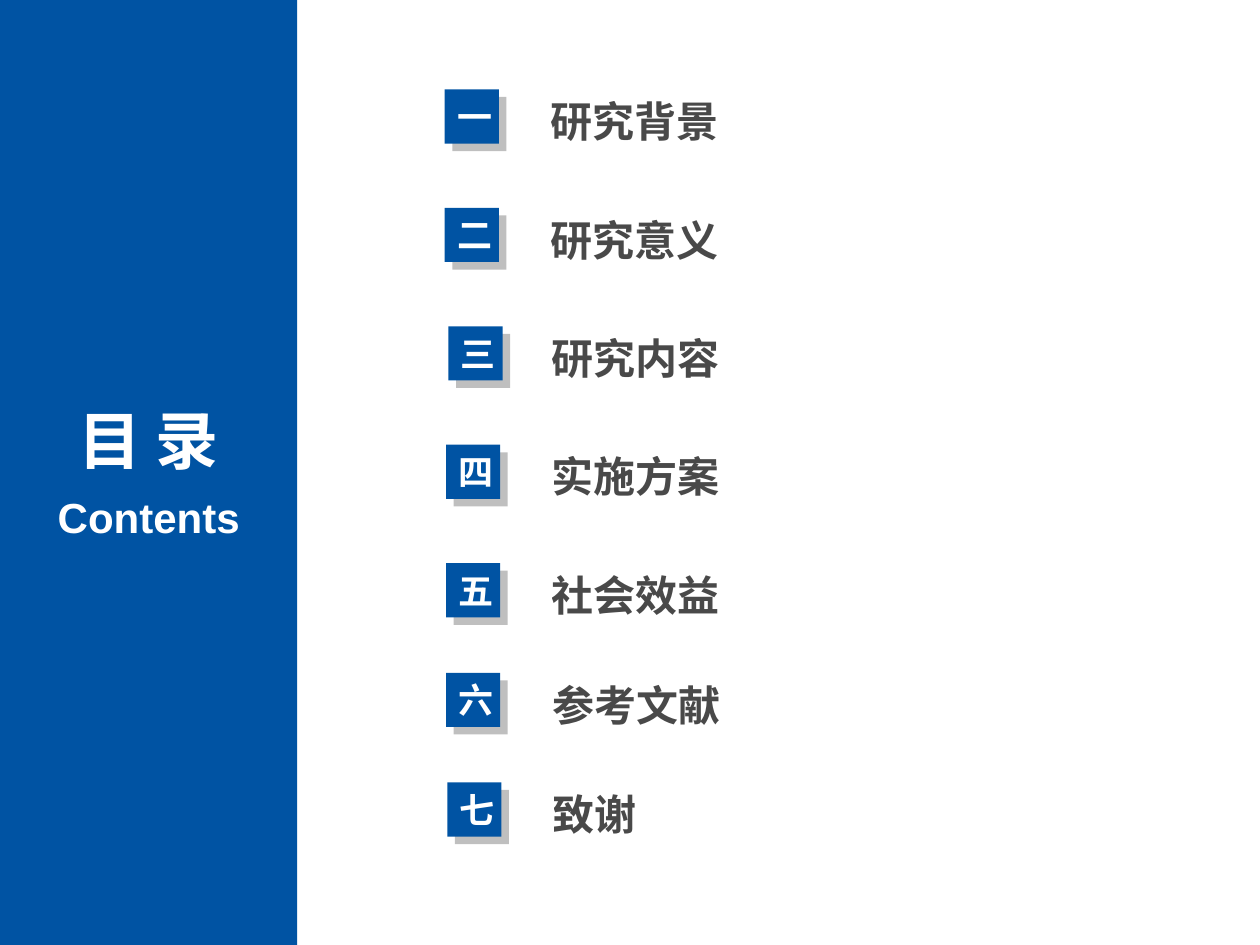
from itertools import accumulate

from lxml.etree import SubElement
from pptx import Presentation
from pptx.dml.color import RGBColor
from pptx.enum.shapes import MSO_SHAPE
from pptx.enum.text import MSO_ANCHOR, MSO_AUTO_SIZE, PP_ALIGN
from pptx.oxml.ns import qn
from pptx.util import Inches, Pt

WIDTH, HEIGHT = 10, 7.5
COLORS = {"blue": "0053A3", "white": "FFFFFF", "shadow": "000000", "title": "0D0D0D"}
LATIN, CHINESE = "Arial", "Noto Sans CJK SC"

HEADINGS = [("目 录", 36, 3.14, 0.71), ("Contents", 24, 3.85, 0.5)]
CHAPTERS = [
    ("一", "研究背景", 3.53, 4.27),
    ("二", "研究意义", 3.53, 4.27),
    ("三", "研究内容", 3.56, 4.28),
    ("四", "实施方案", 3.54, 4.28),
    ("五", "社会效益", 3.54, 4.28),
    ("六", "参考文献", 3.54, 4.29),
    ("七", "致谢", 3.55, 4.29),
]
FIRST_TOP, WIDE_STEP, NARROW_STEP = 0.71, 0.94, 0.87
TOPS = accumulate([FIRST_TOP] + [WIDE_STEP] * 4 + [NARROW_STEP] * 2)
PANEL_WIDTH, PANEL_MARGIN = 2.36, 0.12
BADGE, SHADOW_OFFSET = 0.43, 0.06
TITLE_WIDTH, TITLE_HEIGHT = 0.52 * WIDTH, 0.5


def paint(fill, owner, color, opacity):
    """Give a fill its colour and opacity in percent."""
    fill.solid()
    fill.fore_color.rgb = RGBColor.from_string(COLORS[color])
    if opacity < 100:
        tint = next(owner.iter(qn("a:srgbClr")))
        SubElement(tint, qn("a:alpha"), val=str(opacity * 1000))


def add_box(shapes, left, top, width, height, color, opacity=100):
    """Add a plain filled rectangle."""
    box = shapes.add_shape(MSO_SHAPE.RECTANGLE, *map(Inches, (left, top, width, height)))
    box.shadow.inherit = False
    box.line.fill.background()
    paint(box.fill, box.element.spPr, color, opacity)
    return box


def write(frame, text, size, font, color, align, opacity=100):
    """Write one bold line into a text frame."""
    para = frame.paragraphs[0]
    para.alignment = align
    span = para.add_run()
    span.text = text
    span.font.size = Pt(size)
    span.font.bold = True
    properties = span._r.get_or_add_rPr()
    paint(span.font.fill, properties, color, opacity)
    span.font.name = font
    SubElement(properties, qn("a:ea"), typeface=CHINESE)


def add_label(shapes, left, top, width, height, *style):
    """Add a wrapping text box with one styled line."""
    frame = shapes.add_textbox(*map(Inches, (left, top, width, height))).text_frame
    frame.word_wrap = True
    frame.auto_size = MSO_AUTO_SIZE.SHAPE_TO_FIT_TEXT
    write(frame, *style)


def add_badge(shapes, left, top, numeral):
    """Add a numbered square with its offset shadow."""
    group = shapes.add_group_shape().shapes
    add_box(group, left + SHADOW_OFFSET, top + SHADOW_OFFSET, BADGE, BADGE, "shadow", 25)
    tile = add_box(group, left, top, BADGE, BADGE, "blue")
    tile.text_frame.vertical_anchor = MSO_ANCHOR.MIDDLE
    write(tile.text_frame, numeral, 20, CHINESE, "white", PP_ALIGN.CENTER)


def main():
    """Build the contents slide."""
    deck = Presentation()
    deck.slide_width, deck.slide_height = Inches(WIDTH), Inches(HEIGHT)
    page = deck.slides.add_slide(deck.slide_layouts[6])

    add_box(page.shapes, 0, 0, PANEL_WIDTH, HEIGHT, "blue")
    for text, size, top, height in HEADINGS:
        add_label(page.shapes, PANEL_MARGIN, top, PANEL_WIDTH - 2 * PANEL_MARGIN, height,
                  text, size, LATIN, "white", PP_ALIGN.CENTER)

    for (numeral, title, badge_left, title_left), top in zip(CHAPTERS, TOPS):
        add_badge(page.shapes, badge_left, top, numeral)
        add_label(page.shapes, title_left, top, TITLE_WIDTH, TITLE_HEIGHT,
                  title, 24, CHINESE, "title", PP_ALIGN.LEFT, 75)

    deck.save("out.pptx")


if __name__ == "__main__":
    main()
